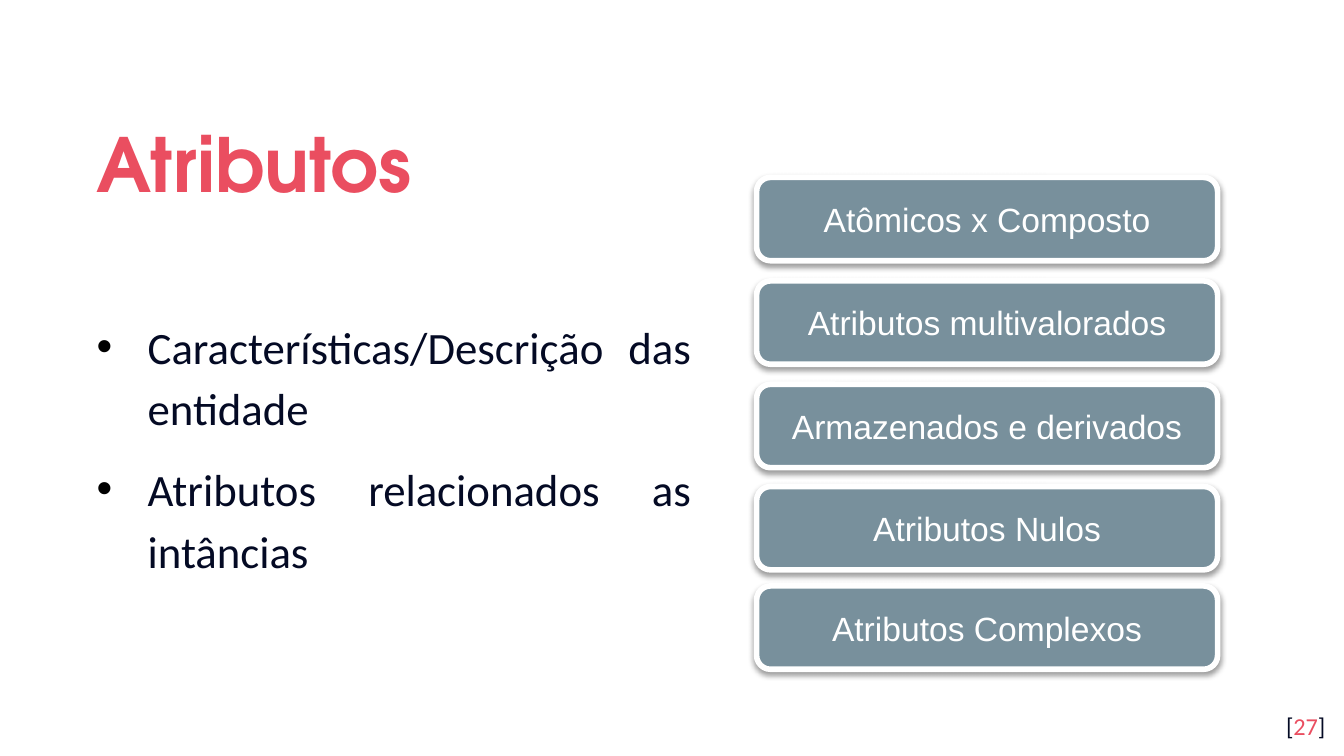
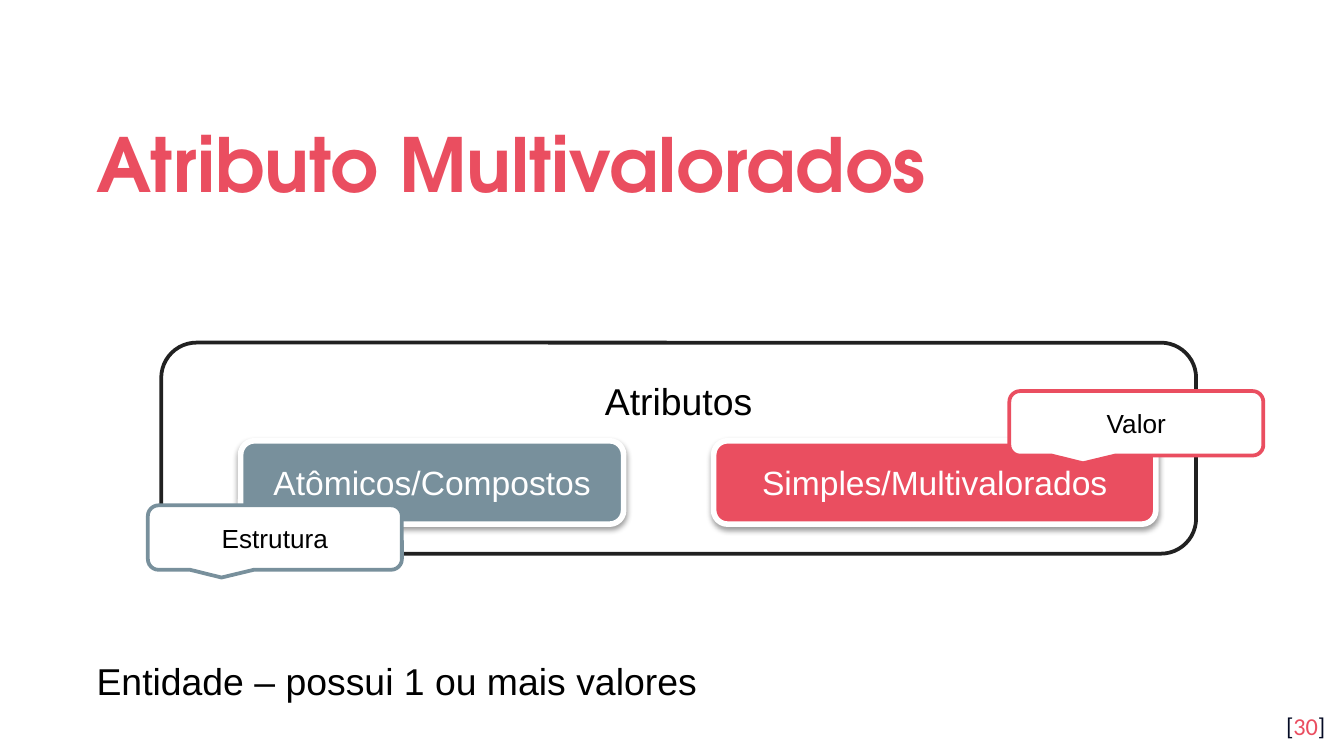
from lxml import etree
from pptx import Presentation
from pptx.dml.color import RGBColor
from pptx.enum.shapes import MSO_SHAPE
from pptx.enum.text import MSO_ANCHOR, PP_ALIGN
from pptx.oxml import parse_xml
from pptx.oxml.ns import nsdecls, qn
from pptx.util import Inches, Pt

RED = RGBColor(0xEA, 0x4E, 0x60)
SLATE = RGBColor(0x78, 0x90, 0x9C)
NAVY = RGBColor(0x04, 0x0A, 0x24)
CHARCOAL = RGBColor(0x21, 0x21, 0x21)
BLACK = RGBColor(0, 0, 0)
WHITE = RGBColor(0xFF, 0xFF, 0xFF)

SHADOW = (
    f'<a:effectLst {nsdecls("a")}>'
    '<a:outerShdw blurRad="39370" dist="20320" dir="5400000" rotWithShape="0">'
    '<a:srgbClr val="000000"><a:alpha val="38000"/></a:srgbClr>'
    '</a:outerShdw></a:effectLst>'
)


def add_text(s, rect, paragraphs, size, font, inset=0.1, anchor=MSO_ANCHOR.TOP):
    """Add a text box; each paragraph is a list of (text, colour) runs."""
    tf = s.shapes.add_textbox(*map(Inches, rect)).text_frame
    tf.word_wrap = True
    tf.vertical_anchor = anchor
    tf.margin_top = tf.margin_bottom = Inches(inset)
    for i, runs in enumerate(paragraphs):
        p = tf.add_paragraph() if i else tf.paragraphs[0]
        for text, color in runs:
            r = p.add_run()
            r.text = text
            r.font.size, r.font.name = Pt(size), font
            r.font.color.rgb = color
    return tf


def add_box(shapes, kind, rect, text, size, fill, line, width, color, shadow=False):
    """Add a filled, outlined shape with a centred label."""
    sp = shapes.add_shape(kind, *map(Inches, rect))
    sp.shadow.inherit = False
    sp.fill.solid()
    sp.fill.fore_color.rgb = fill
    sp.line.color.rgb = line
    sp.line.width = Pt(width)
    if shadow:
        effects = sp.element.spPr.find(qn("a:effectLst"))
        effects.getparent().replace(effects, parse_xml(SHADOW))
    tf = sp.text_frame
    tf.word_wrap = True
    tf.vertical_anchor = MSO_ANCHOR.MIDDLE
    p = tf.paragraphs[0]
    p.text = text
    p.alignment = PP_ALIGN.CENTER
    font = p.runs[0].font
    font.size, font.name = Pt(size), "Arial"
    font.color.rgb = color
    return sp


# 16:9 page
prs = Presentation()
prs.slide_width = Inches(10)
prs.slide_height = prs.slide_width * 9 // 16

# Title and page number on both slides
for title, number in [("Atributos", "27"), ("Atributo Multivalorados", "30")]:
    s = prs.slides.add_slide(prs.slide_layouts[6])
    tf = add_text(s, (0.62, 0.7, 8.77, 0.92), [[(title, RED)]], 40,
                  "TeX Gyre Adventor", anchor=MSO_ANCHOR.MIDDLE)
    tf.paragraphs[0].line_spacing = 1.15
    tf.paragraphs[0].runs[0].font.bold = True
    tf = add_text(s, (9.36, 5.19, 0.6, 0.43),
                  [[("[", NAVY), (number, RED), ("]", NAVY)]], 13, "Calibri")
    tf.paragraphs[0].alignment = PP_ALIGN.RIGHT

types_slide, multi_slide = prs.slides

# Slide 1: bullets
bullets = ["Características/Descrição das entidade", "Atributos relacionados as intâncias"]
tf = add_text(types_slide, (0.62, 1.62, 4.62, 3.37), [[(b, NAVY)] for b in bullets],
              24, "Calibri", anchor=MSO_ANCHOR.MIDDLE)
for i, p in enumerate(tf.paragraphs):
    p.alignment = PP_ALIGN.JUSTIFY
    p.line_spacing = 1.15
    if i:
        p.space_before = Pt(10)
    pPr = p._p.get_or_add_pPr()
    pPr.set("marL", str(Inches(0.38)))
    pPr.set("indent", str(Inches(-0.38)))
    bullet_color = etree.SubElement(pPr, qn("a:buClr"))
    etree.SubElement(bullet_color, qn("a:srgbClr"), val=str(BLACK))
    etree.SubElement(pPr, qn("a:buFont"), typeface="Arial")
    etree.SubElement(pPr, qn("a:buChar"), char="•")

# Slide 1: attribute types
attribute_types = [
    (1.32, "Atômicos x Composto"),
    (2.09, "Atributos multivalorados"),
    (2.86, "Armazenados e derivados"),
    (3.62, "Atributos Nulos"),
    (4.36, "Atributos Complexos"),
]
for top, label in attribute_types:
    add_box(types_slide.shapes, MSO_SHAPE.ROUNDED_RECTANGLE, (5.63, top, 3.43, 0.62),
            label, 18, SLATE, WHITE, 3, WHITE, shadow=True)

# Slide 2: panel holding the two attribute pairs
group = multi_slide.shapes.add_group_shape()
panel = add_box(group.shapes, MSO_SHAPE.ROUNDED_RECTANGLE, (1.2, 2.55, 7.7, 1.57),
                "Atributos", 20, WHITE, CHARCOAL, 2, BLACK)
panel.text_frame.vertical_anchor = MSO_ANCHOR.TOP
panel.text_frame.margin_top = Inches(0.19)
for left, width, label, fill in [(1.79, 2.85, "Atômicos/Compostos", SLATE),
                                 (5.31, 3.29, "Simples/Multivalorados", RED)]:
    add_box(group.shapes, MSO_SHAPE.ROUNDED_RECTANGLE, (left, 3.28, width, 0.62),
            label, 18, fill, WHITE, 3, WHITE, shadow=True)

# Slide 2: callouts
for left, top, label, line in [(7.51, 2.91, "Valor", RED), (1.1, 3.76, "Estrutura", SLATE)]:
    callout = add_box(multi_slide.shapes, MSO_SHAPE.ROUNDED_RECTANGULAR_CALLOUT,
                      (left, top, 1.89, 0.48), label, 14, WHITE, line, 2, BLACK)
    callout.adjustments[0] = -0.21
    callout.adjustments[1] = 0.62

# Slide 2: closing sentence
add_text(multi_slide, (0.62, 4.85, 5.31, 0.43),
         [[("Entidade – possui 1 ou mais valores", BLACK)]], 20, "Arial", inset=0.05)

prs.save("out.pptx")
